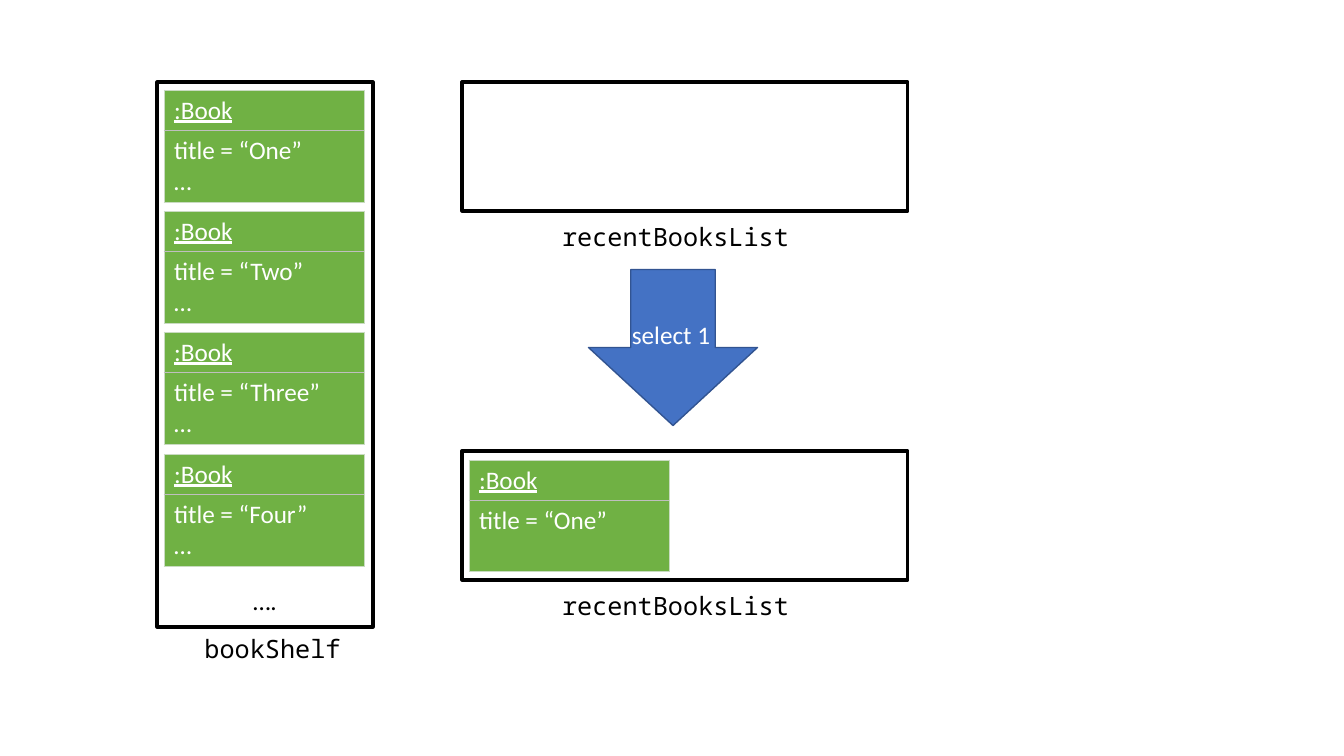
"""Builds the slide that shows one book being selected from a shelf into a list."""
from lxml import etree
from pptx import Presentation, util as u
from pptx.dml.color import RGBColor
from pptx.enum import shapes, text
from pptx.oxml.ns import qn

EMU_PER_PIXEL = 914400 / 100.8
COLORS = {
    "paper": "FFFFFF",
    "ink": "000000",
    "book": "70B144",
    "book_edge": "C9DBC1",
    "book_divider": "BFBFBF",
    "arrow": "4472C4",
    "arrow_edge": "325491",
}
BODY_FONT, CODE_FONT = "Calibri", "Noto Sans Mono"
BOOK_WIDTH, HEADER_HEIGHT, DETAIL_HEIGHT = 200, 40, 71


def px(*lengths):
    return [u.Emu(round(length * EMU_PER_PIXEL)) for length in lengths]


def color(name):
    return RGBColor.from_string(COLORS[name])


def write(frame, lines, ink, font=BODY_FONT, align=text.PP_ALIGN.LEFT, underline=False):
    frame.text = "\n".join(lines)
    for paragraph in frame.paragraphs:
        paragraph.alignment = align
        paragraph.font.name = font
        paragraph.font.size = u.Pt(18)
        paragraph.font.underline = underline
        paragraph.font.color.rgb = color(ink)


def add_block(parent, kind, box, fill, edge, edge_width):
    block = parent.add_shape(kind, *px(*box))
    block.shadow.inherit = False
    block.fill.solid()
    block.fill.fore_color.rgb = color(fill)
    block.line.color.rgb = color(edge)
    block.line.width = u.Pt(edge_width)
    return block


def add_container(parent, box):
    return add_block(parent, shapes.MSO_SHAPE.RECTANGLE, box, "paper", "ink", 2.25)


def add_label(parent, box, caption, ink="ink", font=CODE_FONT,
              align=text.PP_ALIGN.CENTER, wrap=True):
    frame = parent.add_textbox(*px(*box)).text_frame
    frame.word_wrap = wrap
    frame.auto_size = text.MSO_AUTO_SIZE.SHAPE_TO_FIT_TEXT
    write(frame, [caption], ink, font, align)


def set_borders(cell, divider_side):
    properties = cell._tc.get_or_add_tcPr()
    for position, side in enumerate(("lnL", "lnR", "lnT", "lnB")):
        is_divider = side == divider_side
        border = etree.Element(qn(f"a:{side}"), w=str(u.Pt(1 if is_divider else 0.5)))
        fill = etree.SubElement(border, qn("a:solidFill"))
        shade = COLORS["book_divider" if is_divider else "book_edge"]
        etree.SubElement(fill, qn("a:srgbClr"), val=shade)
        properties.insert(position, border)


def add_book(parent, left, top, details):
    height = HEADER_HEIGHT + DETAIL_HEIGHT
    book = parent.add_table(2, 1, *px(left, top, BOOK_WIDTH, height)).table
    book.first_row = book.horz_banding = False
    book.rows[0].height, book.rows[1].height = px(HEADER_HEIGHT, DETAIL_HEIGHT)
    for row, (lines, divider_side) in enumerate((([":Book"], "lnB"), (details, "lnT"))):
        cell = book.cell(row, 0)
        cell.fill.solid()
        cell.fill.fore_color.rgb = color("book")
        set_borders(cell, divider_side)
        write(cell.text_frame, lines, "paper", underline=row == 0)


def add_shelf(parent):
    shelf = add_container(parent, (157, 82, 216, 545)).text_frame
    shelf.vertical_anchor = text.MSO_ANCHOR.BOTTOM
    shelf.margin_bottom = px(11)[0]
    write(shelf, ["…."], "ink", align=text.PP_ALIGN.CENTER)
    for index, title in enumerate(("One", "Two", "Three", "Four")):
        add_book(parent, 164, 90 + index * 364 // 3, [f"title = “{title}”", "…"])
    add_label(parent, (137, 628, 271, 40), "bookShelf")


def add_recent_list(parent, top):
    add_container(parent, (462, top, 446, 129))
    add_label(parent, (540, top + 134, 271, 40), "recentBooksList")


def add_select_arrow(parent):
    step = parent.add_group_shape().shapes
    arrow = add_block(step, shapes.MSO_SHAPE.RIGHT_ARROW, (595, 263, 156, 169),
                      "arrow", "arrow_edge", 1)
    arrow.rotation = 90
    add_label(step, (622, 314, 100, 40), "select 1", "paper", BODY_FONT,
              text.PP_ALIGN.LEFT, wrap=False)


def main():
    deck = Presentation()
    deck.slide_width, deck.slide_height = px(1344, 756)
    parts = deck.slides.add_slide(deck.slide_layouts[6]).shapes
    add_shelf(parts)
    for top in (82, 451):
        add_recent_list(parts, top)
    add_book(parts, 469, 460, ["title = “One”"])
    add_select_arrow(parts)
    deck.save("out.pptx")


main()
